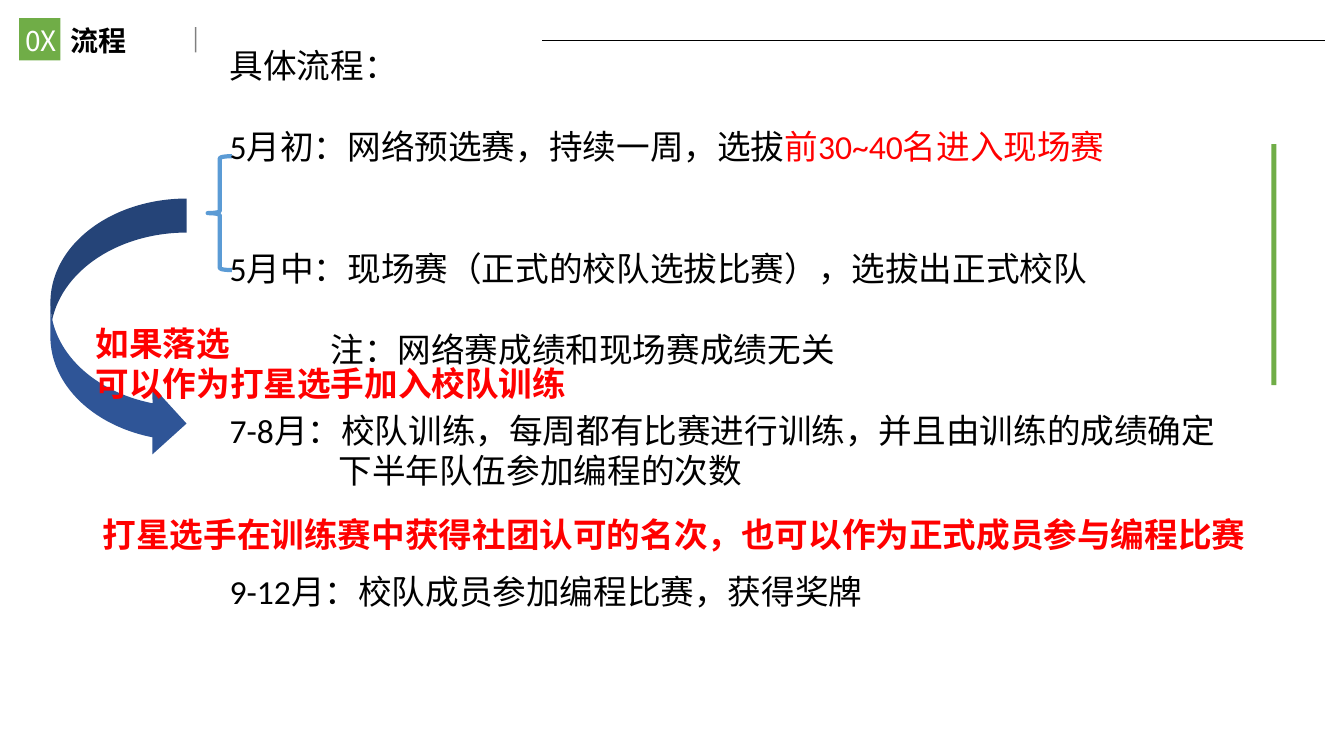
import pptx
import pptx.util
import pptx.dml.color
import pptx.enum.shapes
import pptx.enum.text
import pptx.oxml.ns
import lxml.etree

PX = 9144
BLACK, WHITE, RED, GREEN, NAVY, BLUE = "000000", "FFFFFF", "FF0000", "70AD47", "2F5597", "5B9BD5"
HEADING_FONT, BODY_FONT = "Noto Sans CJK SC", "Calibri"
LINE_PITCH = 29
SHAPES = pptx.enum.shapes.MSO_SHAPE
ALIGN = pptx.enum.text.PP_ALIGN
ANCHOR = pptx.enum.text.MSO_ANCHOR
qn = pptx.oxml.ns.qn


def color(value):
    return pptx.dml.color.RGBColor.from_string(value)


def add_text(box, paragraphs, font_name, size, bold=False, anchor=ANCHOR.TOP, align=ALIGN.LEFT, wrap=True):
    text_box = slide.shapes.add_textbox(*[value * PX for value in box])
    frame = text_box.text_frame
    frame.word_wrap = wrap
    frame.vertical_anchor = anchor
    for index, (blank_lines, indent, runs) in enumerate(paragraphs):
        paragraph = frame.paragraphs[0] if index == 0 else frame.add_paragraph()
        paragraph.alignment = align
        paragraph.space_before = pptx.util.Pt(blank_lines * LINE_PITCH)
        if indent:
            paragraph._p.get_or_add_pPr().set("marL", str(indent * PX))
        for text, text_color in runs:
            run = paragraph.add_run()
            run.text = text
            run.font.color.rgb = color(text_color)
            font_format = {"name": font_name, "size": pptx.util.Pt(size), "bold": bold}
            for name, value in font_format.items():
                setattr(run.font, name, value)
            east_asian = lxml.etree.SubElement(run._r.rPr, qn("a:ea"))
            east_asian.set("typeface", font_name)


presentation = pptx.Presentation()
presentation.slide_width = 1333 * PX
presentation.slide_height = 750 * PX
slide = presentation.slides.add_slide(presentation.slide_layouts[6])

add_text((60, 18, 226, 44), [(0, 0, [("流程", BLACK)])], HEADING_FONT, 20, bold=True, anchor=ANCHOR.MIDDLE)

shapes = [
    (SHAPES.RECTANGLE, (19, 18, 41, 42), GREEN, None),
    (SHAPES.RECTANGLE, (1261, 143, 5, 239), GREEN, None),
    (SHAPES.CURVED_RIGHT_ARROW, (50, 197, 135, 257), NAVY, None),
    (SHAPES.LEFT_BRACE, (206, 155, 24, 113), None, BLUE),
]
for kind, box, fill, outline in shapes:
    shape = slide.shapes.add_shape(kind, *[value * PX for value in box])
    shape.shadow.inherit = False
    if fill:
        shape.fill.solid()
        shape.fill.fore_color.rgb = color(fill)
    else:
        shape.fill.background()
    if outline:
        shape.line.color.rgb = color(outline)
        shape.line.width = pptx.util.Pt(3)
    else:
        shape.line.fill.background()

add_text((-7, 18, 95, 44), [(0, 0, [("0X", WHITE)])], HEADING_FONT, 20,
         anchor=ANCHOR.MIDDLE, align=ALIGN.CENTER)

rules = [((538, 40, 1314, 40), 0.5, 100), ((194, 27, 194, 52), 1, 49)]
for ends, width, opacity in rules:
    rule = slide.shapes.add_connector(
        pptx.enum.shapes.MSO_CONNECTOR.STRAIGHT, *[value * PX for value in ends])
    rule.line.color.rgb = color(BLACK)
    rule.line.width = pptx.util.Pt(width)
    properties = rule._element.spPr
    lxml.etree.SubElement(properties, qn("a:effectLst"))
    if opacity < 100:
        alpha = lxml.etree.SubElement(next(properties.iter(qn("a:srgbClr"))), qn("a:alpha"))
        alpha.set("val", str(opacity * 1000))

schedule = [
    (0, 0, [("具体流程：", BLACK)]),
    (1, 0, [("5月初：网络预选赛，持续一周，选拔", BLACK), ("前30~40名进入现场赛", RED)]),
    (2, 0, [("5月中：现场赛（正式的校队选拔比赛），选拔出正式校队", BLACK)]),
    (1, 100, [("注：网络赛成绩和现场赛成绩无关", BLACK)]),
    (1, 0, [("7-8月：校队训练，每周都有比赛进行训练，并且由训练的成绩确定", BLACK)]),
    (0, 108, [("下半年队伍参加编程的次数", BLACK)]),
    (2, 0, [("9-12月：校队成员参加编程比赛，获得奖牌", BLACK)]),
]
add_text((218, 40, 1050, 616), schedule, BODY_FONT, 24)

notes = [
    ((85, 315, 494, 91), ["如果落选", "可以作为打星选手加入校队训练"]),
    ((92, 505, 1165, 50), ["打星选手在训练赛中获得社团认可的名次，也可以作为正式成员参与编程比赛"]),
]
for box, lines in notes:
    add_text(box, [(0, 0, [(line, RED)]) for line in lines], BODY_FONT, 24, bold=True, wrap=False)

presentation.save("out.pptx")
